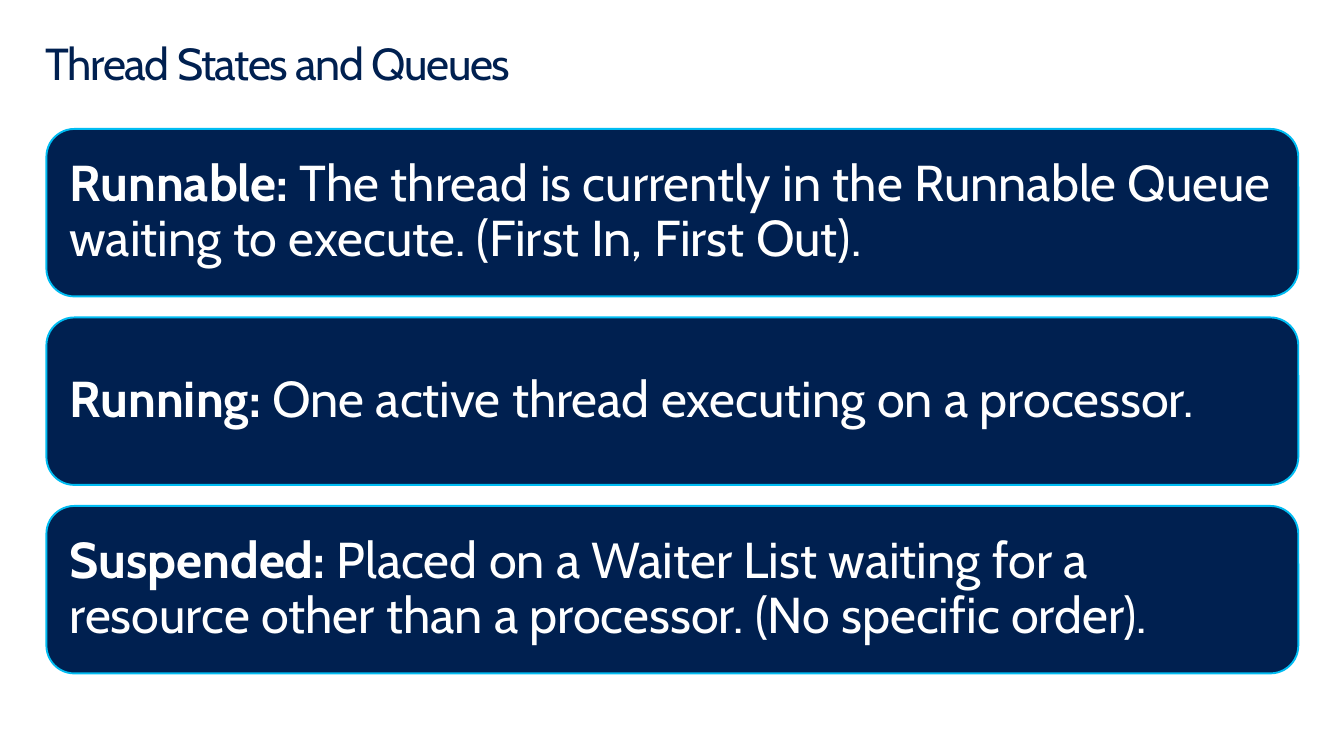
"""Build the slide on thread states and their queues."""
from pptx import Presentation
from pptx.dml.color import RGBColor
from pptx.enum.shapes import MSO_SHAPE
from pptx.enum.text import MSO_ANCHOR, PP_ALIGN
from pptx.util import Cm, Pt

NAVY = RGBColor(0x00, 0x20, 0x50)
CYAN = RGBColor(0x00, 0xBC, 0xF2)
WHITE = RGBColor(0xFF, 0xFF, 0xFF)


def write(frame, runs, size, color, anchor, inset_x, inset_y, spacing=0):
    frame.word_wrap = True
    frame.vertical_anchor = anchor
    frame.margin_left = frame.margin_right = inset_x
    frame.margin_top = frame.margin_bottom = inset_y
    paragraph = frame.paragraphs[0]
    paragraph.alignment = PP_ALIGN.LEFT
    paragraph.line_spacing = 0.9
    for text, bold in runs:
        run = paragraph.add_run()
        run.text = text
        run.font.name = "Cabin"
        run.font.size = size
        run.font.bold = bold
        run.font.color.rgb = color
        if spacing:
            run.font._element.set("spc", str(spacing))


prs = Presentation()
prs.slide_width, prs.slide_height = Cm(33.87), Cm(19.05)
slide = prs.slides.add_slide(prs.slide_layouts[6])

heading = slide.shapes.add_textbox(Cm(0.74), Cm(0.81), Cm(32.39), Cm(2.49))
write(heading.text_frame, [("Thread States and Queues", False)], size=Pt(32), color=NAVY,
      anchor=MSO_ANCHOR.TOP, inset_x=Cm(0.41), inset_y=Cm(0.25), spacing=-100)

states = [
    ("Runnable: ", "The thread is currently in the Runnable Queue waiting to execute. (First In, First Out)."),
    ("Running: ", "One active thread executing on a processor."),
    ("Suspended: ", "Placed on a Waiter List waiting for a resource other than a processor. (No specific order)."),
]
for row, (state, meaning) in enumerate(states):
    card = slide.shapes.add_shape(MSO_SHAPE.ROUNDED_RECTANGLE, Cm(1.17), Cm(3.25 + 4.75 * row),
                                  Cm(31.55), Cm(4.22))
    card.shadow.inherit = False
    card.fill.solid()
    card.fill.fore_color.rgb = NAVY
    card.line.color.rgb = CYAN
    card.line.width = Pt(1.35)
    write(card.text_frame, [(state, True), (meaning, False)], size=Pt(36), color=WHITE,
          anchor=MSO_ANCHOR.MIDDLE, inset_x=Cm(0.38), inset_y=Cm(0.38))

prs.save("out.pptx")
